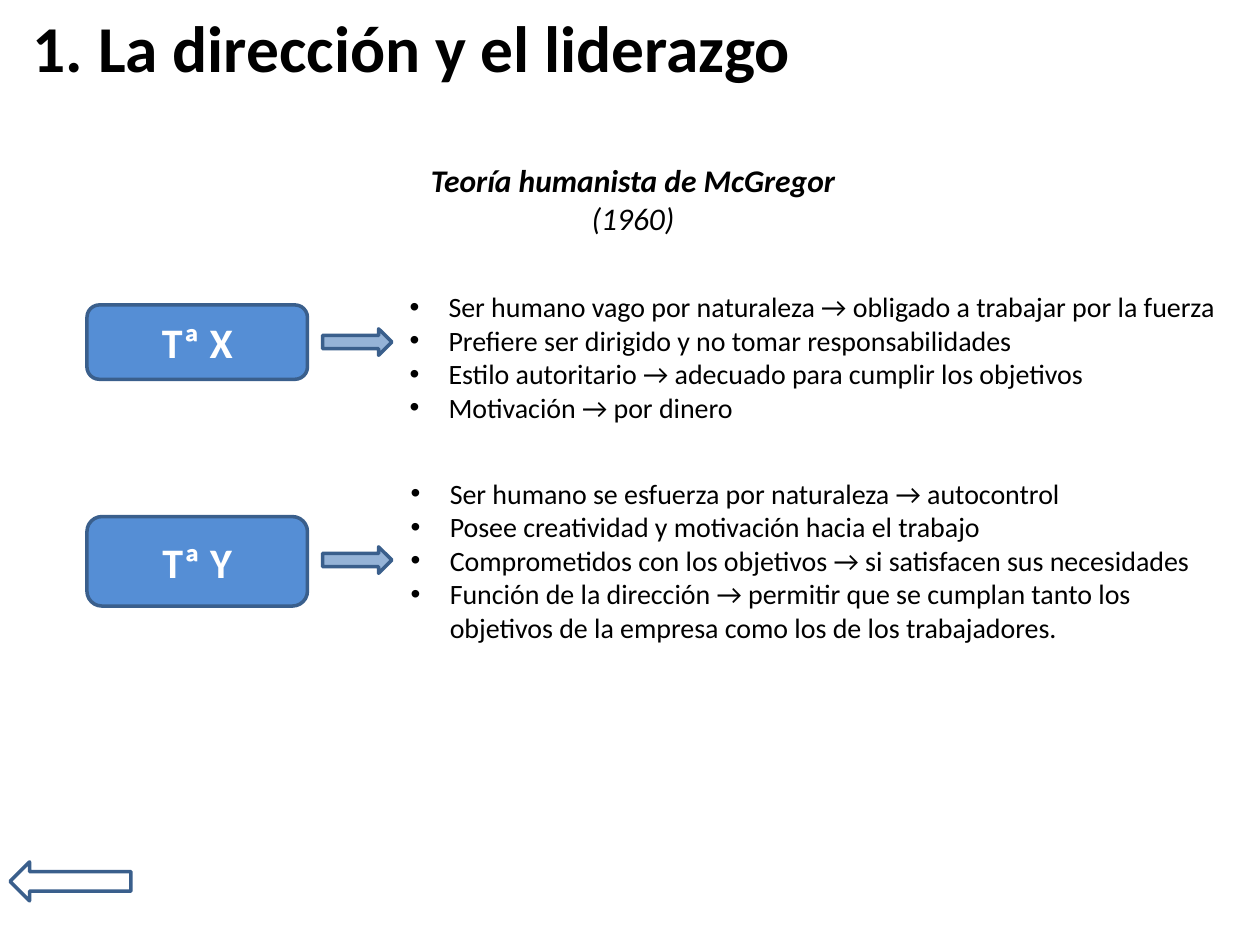
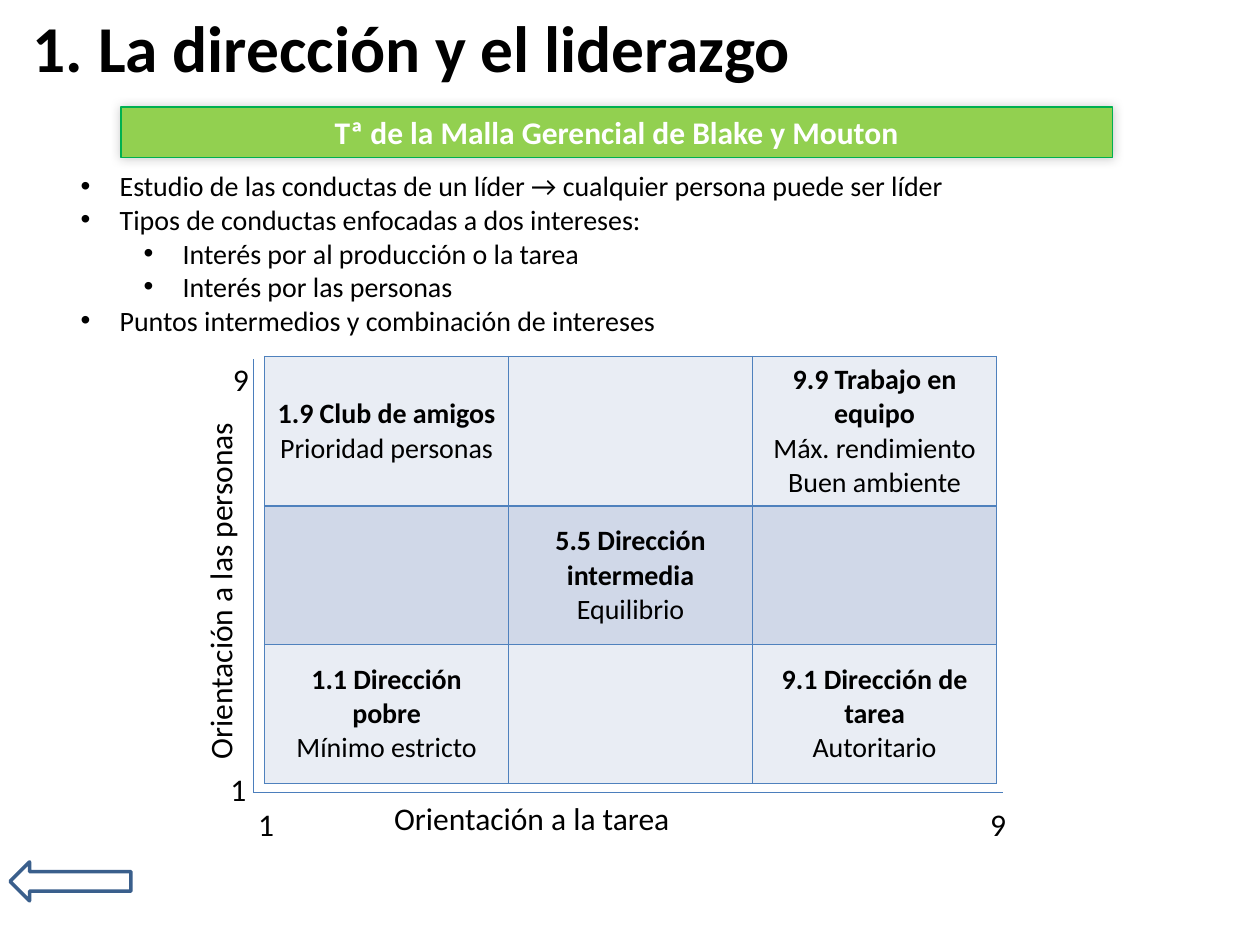
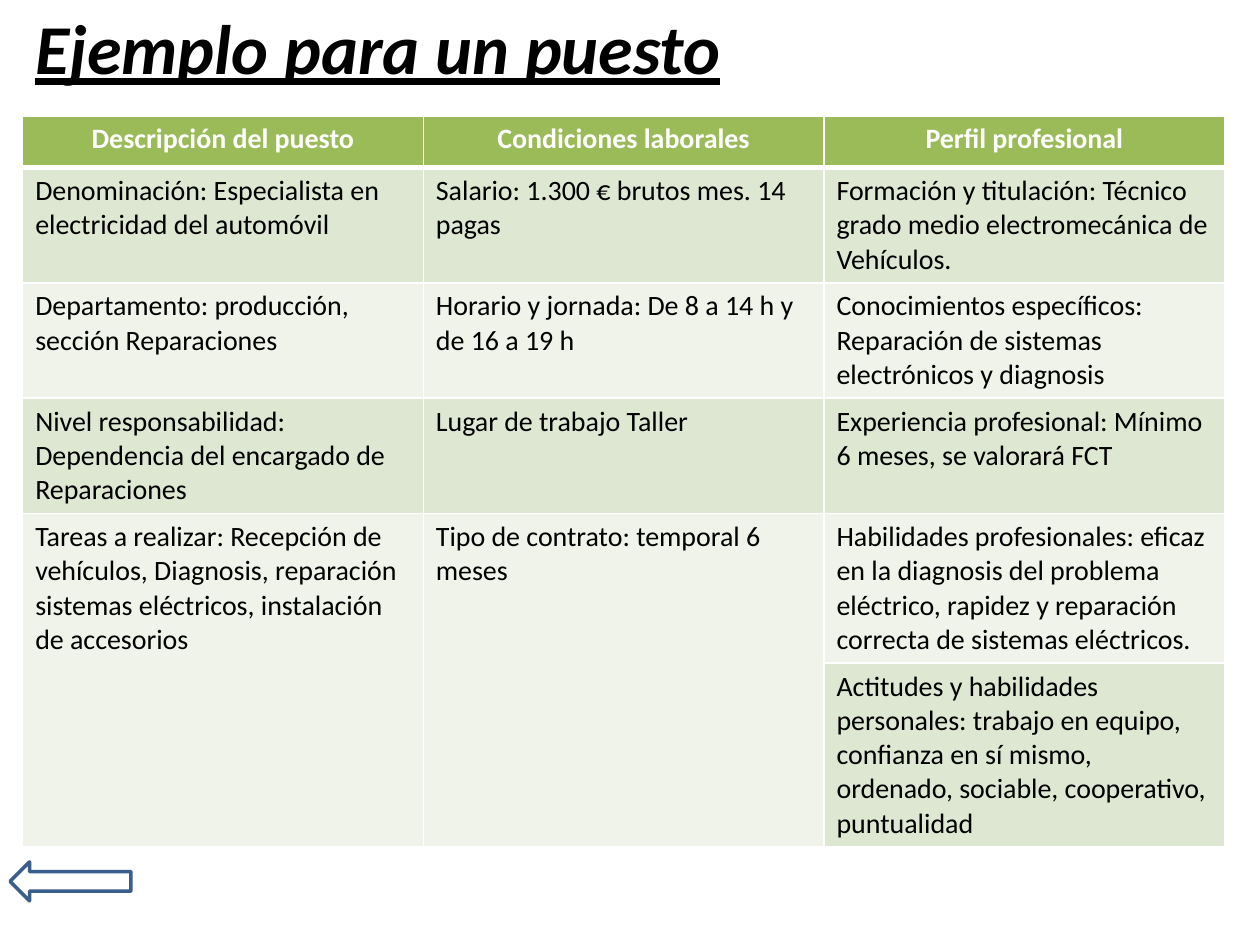
from dataclasses import dataclass

from lxml import etree
from pptx import Presentation
from pptx.dml.color import RGBColor
from pptx.enum.shapes import MSO_CONNECTOR, MSO_SHAPE
from pptx.enum.text import MSO_ANCHOR, MSO_AUTO_SIZE, PP_ALIGN
from pptx.oxml.ns import qn
from pptx.util import Inches, Pt

LEFT, CENTER = PP_ALIGN.LEFT, PP_ALIGN.CENTER
TOP, MIDDLE = MSO_ANCHOR.TOP, MSO_ANCHOR.MIDDLE
NO_AUTOSIZE = MSO_AUTO_SIZE.NONE
RECTANGLE = MSO_SHAPE.RECTANGLE
ROUNDED = MSO_SHAPE.ROUNDED_RECTANGLE
LEFT_ARROW, RIGHT_ARROW = MSO_SHAPE.LEFT_ARROW, MSO_SHAPE.RIGHT_ARROW
STRAIGHT = MSO_CONNECTOR.STRAIGHT

SLIDE_WIDTH, SLIDE_HEIGHT = Inches(10), Inches(7.5)
GRID_COLUMNS, GRID_ROWS = 100, 75
LAYOUT_ONE_LIST, LAYOUT_TWO_LISTS, LAYOUT_TITLE = 1, 3, 5
LIST_INDENT, LEVEL_STEP = 3.1, 5


@dataclass(frozen=True)
class Theme:
    font: str = "Calibri"
    ink: str = "000000"
    white: str = "FFFFFF"
    outline: str = "3A5F8C"
    box: str = "558ED5"
    arrow: str = "95B3D7"
    banner: str = "92D050"
    banner_line: str = "00B050"
    axis: str = "4B7EBC"
    grid_line: str = "4F81BD"
    grid_bands: tuple = ("E9EDF4", "D0D8E8")
    job_header: str = "9BBB59"
    job_bands: tuple = ("DEE7D1", "EFF3EA")
    title_size: float = 37.4
    example_size: float = 40
    box_size: float = 24
    label_size: float = 18
    body_size: float = 16


THEME = Theme()
TITLE = "1. La dirección y el liderazgo"
TITLE_AREA = (1.6, 0.5, 90, 6.3)

THEORIES = (
    ("Tª X", (6.9, 24.2, 17.5, 5.9), 26.1, (31.5, 22.5, 67.4, 11.8), (
        "Ser humano vago por naturaleza → obligado a trabajar por la fuerza",
        "Prefiere ser dirigido y no tomar responsabilidades",
        "Estilo autoritario → adecuado para cumplir los objetivos",
        "Motivación → por dinero",
    )),
    ("Tª Y", (6.9, 41, 17.5, 7.1), 43.4, (31.6, 37.3, 66.6, 14.5), (
        "Ser humano se esfuerza por naturaleza → autocontrol",
        "Posee creatividad y motivación hacia el trabajo",
        "Comprometidos con los objetivos → si satisfacen sus necesidades",
        "Función de la dirección → permitir que se cumplan tanto los "
        "objetivos de la empresa como los de los trabajadores.",
    )),
)

BEHAVIOURS = (
    "Estudio de las conductas de un líder → cualquier persona puede ser líder",
    "Tipos de conductas enfocadas a dos intereses:",
    "Interés por al producción o la tarea",
    "Interés por las personas",
    "Puntos intermedios y combinación de intereses",
)

MANAGERIAL_GRID = (
    (("1.9 Club de amigos", "Prioridad personas"), (),
     ("9.9 Trabajo en equipo", "Máx. rendimiento", "Buen ambiente")),
    ((), ("5.5 Dirección intermedia", "Equilibrio"), ()),
    (("1.1 Dirección pobre", "Mínimo estricto"), (),
     ("9.1 Dirección de tarea", "Autoritario")),
)

AXIS_LABELS = (
    ("Orientación a la tarea", (30.3, 62.9, 29.9, 4), 0),
    ("Orientación a las personas", (2.5, 44.3, 29.9, 4), 270),
    ("9", (17.5, 28.1, 2, 4), 0),
    ("9", (77.6, 63.4, 2, 4), 0),
    ("1", (19.5, 63.4, 2, 4), 0),
    ("1", (17.3, 60.6, 2, 4), 0),
)

JOB_ROWS = (
    ("Descripción del puesto", "Condiciones laborales", "Perfil profesional"),
    ("Denominación: Especialista en electricidad del automóvil",
     "Salario: 1.300 € brutos mes. 14 pagas",
     "Formación y titulación: Técnico grado medio electromecánica de Vehículos."),
    ("Departamento: producción, sección Reparaciones",
     "Horario y jornada: De 8 a 14 h y de 16 a 19 h",
     "Conocimientos específicos: Reparación de sistemas electrónicos y diagnosis"),
    ("Nivel responsabilidad: Dependencia del encargado de Reparaciones",
     "Lugar de trabajo Taller",
     "Experiencia profesional: Mínimo 6 meses, se valorará FCT"),
    ("Tareas a realizar: Recepción de vehículos, Diagnosis, reparación "
     "sistemas eléctricos, instalación de accesorios",
     "Tipo de contrato: temporal 6 meses",
     "Habilidades profesionales: eficaz en la diagnosis del problema eléctrico, "
     "rapidez y reparación correcta de sistemas eléctricos."),
    ("", "",
     "Actitudes y habilidades personales: trabajo en equipo, confianza en sí "
     "mismo, ordenado, sociable, cooperativo, puntualidad"),
)


def columns(count):
    return round(SLIDE_WIDTH * count / GRID_COLUMNS)


def rows(count):
    return round(SLIDE_HEIGHT * count / GRID_ROWS)


def area_lengths(area):
    left, top, width, height = area
    return columns(left), rows(top), columns(width), rows(height)


def color(value):
    return RGBColor.from_string(value)


def write_text(frame, lines, size=THEME.body_size, ink=THEME.ink, bold=False,
               italic=False, underline=False, lead_bold=False, align=LEFT,
               anchor=None):
    frame.word_wrap = True
    if anchor is not None:
        frame.vertical_anchor = anchor
    frame.text = "\n".join(lines)
    for number, paragraph in enumerate(frame.paragraphs):
        paragraph.alignment = align
        paragraph.space_before = Pt(0)
        for run in paragraph.runs:
            font = run.font
            font.name = THEME.font
            font.size = Pt(size)
            font.color.rgb = color(ink)
            font.bold = bold or (lead_bold and number == 0)
            font.italic = italic
            font.underline = underline


def move(shape, area):
    shape.left, shape.top, shape.width, shape.height = area_lengths(area)


def add_slide(presentation, layout, title, area=TITLE_AREA,
              size=THEME.title_size, **title_format):
    slide = presentation.slides.add_slide(presentation.slide_layouts[layout])
    move(slide.shapes.title, area)
    frame = slide.shapes.title.text_frame
    frame.auto_size = NO_AUTOSIZE
    write_text(frame, [title], size=size, bold=True, anchor=MIDDLE, **title_format)
    add_shape(slide, LEFT_ARROW, (0.8, 68.4, 9.6, 3.1))
    return slide


def fill_list(placeholder, area, items, sublevel=()):
    move(placeholder, area)
    frame = placeholder.text_frame
    frame.auto_size = NO_AUTOSIZE
    write_text(frame, items, anchor=TOP)
    for number, paragraph in enumerate(frame.paragraphs):
        paragraph.level = int(number in sublevel)
        properties = paragraph._p.get_or_add_pPr()
        margin = LIST_INDENT + LEVEL_STEP * paragraph.level
        properties.set("marL", str(columns(margin)))
        properties.set("indent", str(-columns(LIST_INDENT)))
        etree.SubElement(properties, qn("a:buFont"), typeface="Arial")
        etree.SubElement(properties, qn("a:buChar"), char="•")


def add_label(slide, lines, area, rotation=0, **text_format):
    label = slide.shapes.add_textbox(*area_lengths(area))
    label.rotation = rotation
    write_text(label.text_frame, lines, size=THEME.label_size, **text_format)


def add_shape(slide, kind, area, fill=None, line=THEME.outline, weight=2,
              text="", size=THEME.box_size):
    shape = slide.shapes.add_shape(kind, *area_lengths(area))
    shape.shadow.inherit = False
    if fill:
        shape.fill.solid()
        shape.fill.fore_color.rgb = color(fill)
    else:
        shape.fill.background()
    shape.line.color.rgb = color(line)
    shape.line.width = Pt(weight)
    if text:
        write_text(shape.text_frame, [text], size=size, ink=THEME.white,
                   bold=True, align=CENTER, anchor=MIDDLE)
    return shape


def add_soft_shadow(shape):
    effects = shape._element.spPr.find(qn("a:effectLst"))
    shadow = etree.SubElement(effects, qn("a:outerShdw"), blurRad=str(Pt(6)),
                              dist="0", dir="13500000", rotWithShape="0")
    shade = etree.SubElement(shadow, qn("a:srgbClr"), val=THEME.ink)
    etree.SubElement(shade, qn("a:alpha"), val="20000")


def add_axis(slide, start, end):
    axis = slide.shapes.add_connector(
        STRAIGHT, columns(start[0]), rows(start[1]), columns(end[0]), rows(end[1]))
    axis.line.color.rgb = color(THEME.axis)
    axis.line.width = Pt(0.75)
    etree.SubElement(axis._element.spPr, qn("a:effectLst"))


def add_table(slide, left, top, column_width, column_count, row_heights):
    area = (left, top, column_width * column_count, sum(row_heights))
    table = slide.shapes.add_table(
        len(row_heights), column_count, *area_lengths(area)).table
    table.first_row = table.horz_banding = False
    for column in table.columns:
        column.width = columns(column_width)
    for row, height in zip(table.rows, row_heights):
        row.height = rows(height)
    return table


def style_cell(cell, fill, line, top=1, bottom=1):
    properties = cell._tc.get_or_add_tcPr()
    weights = {"lnL": 1, "lnR": 1, "lnT": top, "lnB": bottom}
    for side, weight in weights.items():
        border = etree.SubElement(properties, qn(f"a:{side}"), w=str(Pt(weight)))
        paint = etree.SubElement(border, qn("a:solidFill"))
        etree.SubElement(paint, qn("a:srgbClr"), val=line)
    cell.fill.solid()
    cell.fill.fore_color.rgb = color(fill)


def add_managerial_grid(slide):
    table = add_table(slide, 21, 28.3, 19.37, 3, (11.6, 11, 11))
    for row, contents in enumerate(MANAGERIAL_GRID):
        for column, lines in enumerate(contents):
            cell = table.cell(row, column)
            style_cell(cell, THEME.grid_bands[row % 2], THEME.grid_line)
            if lines:
                cell.vertical_anchor = MIDDLE
                write_text(cell.text_frame, lines, lead_bold=True, align=CENTER)


def add_job_table(slide):
    table = add_table(slide, 1.8, 9.2, 31.8, 3, (4.1, 9.1, 9.1, 9.1, 11.8, 14.5))
    for row, contents in enumerate(JOB_ROWS):
        header = row == 0
        fill = THEME.job_header if header else THEME.job_bands[(row - 1) % 2]
        for column, text in enumerate(contents):
            cell = table.cell(row, column)
            style_cell(cell, fill, THEME.white, top=3 if row == 1 else 1,
                       bottom=3 if header else 1)
            if text:
                write_text(cell.text_frame, [text], bold=header,
                           ink=THEME.white if header else THEME.ink,
                           align=CENTER if header else LEFT)
    for column in range(2):
        table.cell(4, column).merge(table.cell(5, column))


def build_theories(presentation):
    slide = add_slide(presentation, LAYOUT_TWO_LISTS, TITLE)
    for number, theory in enumerate(THEORIES, start=1):
        name, box_area, arrow_top, list_area, items = theory
        add_shape(slide, ROUNDED, box_area, fill=THEME.box, text=name)
        add_shape(slide, RIGHT_ARROW, (25.6, arrow_top, 5.5, 2.1), fill=THEME.arrow)
        fill_list(slide.placeholders[number], list_area, items)
    add_label(slide, ["Teoría humanista de McGregor", "(1960)"],
              (3.9, 12.3, 92.7, 7.1), lead_bold=True, italic=True, align=CENTER)


def build_managerial_grid(presentation):
    slide = add_slide(presentation, LAYOUT_ONE_LIST, TITLE)
    banner = add_shape(slide, RECTANGLE, (9.6, 8.5, 78.7, 4), fill=THEME.banner,
                       line=THEME.banner_line, weight=0.75,
                       text="Tª de la Malla Gerencial de Blake y Mouton",
                       size=THEME.label_size)
    add_soft_shadow(banner)
    fill_list(slide.placeholders[1], (5.4, 12.9, 89.2, 14.5), BEHAVIOURS,
              sublevel=(2, 3))
    add_managerial_grid(slide)
    add_axis(slide, (20.1, 28.5), (20.1, 62.9))
    add_axis(slide, (20.2, 62.9), (79.6, 62.9))
    for text, area, rotation in AXIS_LABELS:
        add_label(slide, [text], area, rotation=rotation)


def build_job_example(presentation):
    slide = add_slide(presentation, LAYOUT_TITLE, "Ejemplo para un puesto",
                      area=(1.8, 0.4, 90, 6.6), size=THEME.example_size,
                      italic=True, underline=True)
    add_job_table(slide)


def main():
    presentation = Presentation()
    presentation.slide_width = SLIDE_WIDTH
    presentation.slide_height = SLIDE_HEIGHT
    build_theories(presentation)
    build_managerial_grid(presentation)
    build_job_example(presentation)
    presentation.save("out.pptx")


if __name__ == "__main__":
    main()
